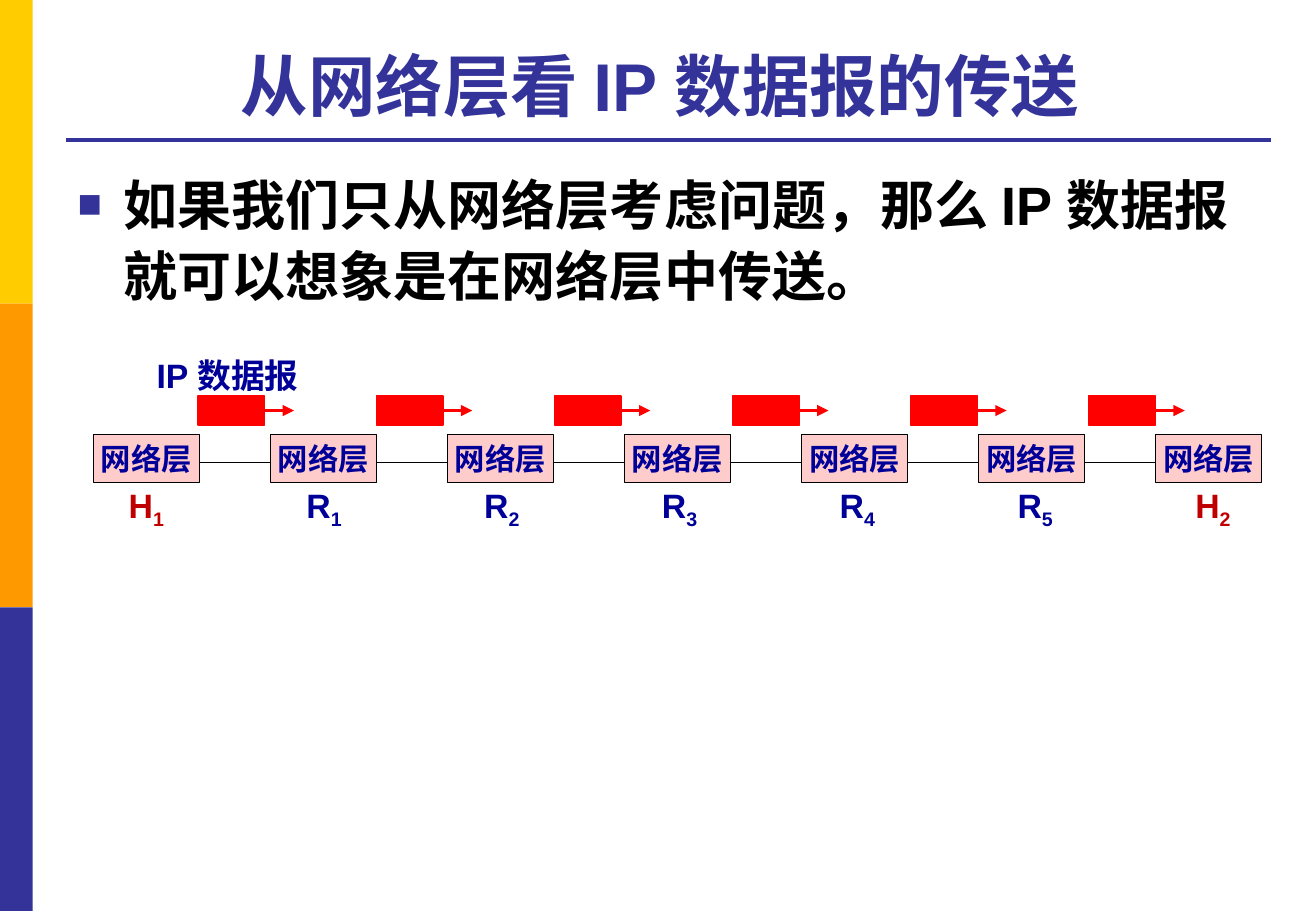
from pptx import Presentation
from pptx import util as u
from pptx.dml.color import RGBColor
from pptx.enum import lang, shapes, text
from pptx.oxml import ns
from lxml import etree

INDIGO = RGBColor(0x33, 0x33, 0x99)
YELLOW = RGBColor(0xFF, 0xCC, 0x00)
ORANGE = RGBColor(0xFF, 0x99, 0x00)
BLACK = RGBColor(0x00, 0x00, 0x00)
NAVY = RGBColor(0x00, 0x00, 0x99)
PINK = RGBColor(0xFF, 0xCC, 0xCC)
RED = RGBColor(0xFF, 0x00, 0x00)
DARK_RED = RGBColor(0xC0, 0x00, 0x00)

FONT = "Arial"
STATIONS = ["H1", "R1", "R2", "R3", "R4", "R5", "H2"]
# Steps from one station to the next, in grid cells
NODE_STEP, NAME_STEP, PACKET_STEP = 14.57, 14.63, 14.66


def grid(cells):
    """Length of a number of grid columns or rows, ten to the inch."""
    return u.Inches(cells / 10)


def write(box, words, size, color, subscript="", align=text.PP_ALIGN.LEFT,
          anchor=text.MSO_ANCHOR.TOP, wrap=True):
    frame = box.text_frame
    frame.word_wrap = wrap
    frame.vertical_anchor = anchor
    para = frame.paragraphs[0]
    para.alignment = align
    for part in filter(None, (words, subscript)):
        span = para.add_run()
        span.text = part
        span.font.name = FONT
        span.font.size = u.Pt(size)
        span.font.bold = True
        span.font.color.rgb = color
        span.font.language_id = lang.MSO_LANGUAGE_ID.SIMPLIFIED_CHINESE
        if part is subscript:
            span._r.get_or_add_rPr().set("baseline", "-25000")
    return para


def add_text(page, left, top, width, height, words, size, color, **style):
    box = page.shapes.add_textbox(*map(grid, (left, top, width, height)))
    return write(box, words, size, color, **style)


def add_box(page, left, top, width, height, fill, outline=None):
    box = page.shapes.add_shape(shapes.MSO_SHAPE.RECTANGLE,
                                *map(grid, (left, top, width, height)))
    box.shadow.inherit = False
    box.fill.solid()
    box.fill.fore_color.rgb = fill
    if outline is None:
        box.line.fill.background()
    else:
        box.line.color.rgb = outline
        box.line.width = u.Pt(0.75)
    return box


def add_line(page, left, right, level, color, weight, arrow=False):
    line = page.shapes.add_connector(shapes.MSO_CONNECTOR.STRAIGHT,
                                     grid(left), grid(level), grid(right), grid(level))
    line.line.color.rgb = color
    line.line.width = u.Pt(weight)
    if arrow:
        etree.SubElement(line.line._get_or_add_ln(), ns.qn("a:tailEnd"), type="triangle")
    etree.SubElement(line._element.spPr, ns.qn("a:effectLst"))
    return line


def add_bullet(para):
    para.line_spacing = 1.1
    para.space_before = u.Pt(6)
    props = para._p.get_or_add_pPr()
    props.set("marL", str(grid(3.8)))
    props.set("indent", str(-grid(3.8)))
    color = etree.SubElement(props, ns.qn("a:buClr"))
    etree.SubElement(color, ns.qn("a:srgbClr"), val=str(INDIGO))
    etree.SubElement(props, ns.qn("a:buSzPct"), val="75000")
    etree.SubElement(props, ns.qn("a:buFont"), typeface=FONT)
    etree.SubElement(props, ns.qn("a:buChar"), char="■")


def add_station(page, index, name):
    node = add_box(page, 7.7 + index * NODE_STEP, 35.8, 8.7, 3.9, PINK, BLACK)
    node.text_frame.margin_left = node.text_frame.margin_right = 0
    write(node, "网络层", 18, NAVY, align=text.PP_ALIGN.CENTER,
          anchor=text.MSO_ANCHOR.MIDDLE, wrap=False)
    add_text(page, 9.6 + index * NAME_STEP, 39.4, 5.1, 4.4, name[0], 20,
             DARK_RED if name[0] == "H" else NAVY, subscript=name[1], wrap=False)


def add_packet(page, index):
    left = 16.3 + index * PACKET_STEP
    packet = add_box(page, left, 32.6, 5.5, 2.4, RED, RED)
    arrow = add_line(page, left + 5.5, left + 7.9, 33.8, RED, 2.25, arrow=True)
    arrow.begin_connect(packet, 3)


def main():
    deck = Presentation()
    deck.slide_width, deck.slide_height = grid(108.3), grid(75)
    page = deck.slides.add_slide(deck.slide_layouts[6])

    # Side stripe and title rule
    for index, color in enumerate((YELLOW, ORANGE, INDIGO)):
        add_box(page, 0, index * 25, 2.7, 25, color)
    add_line(page, 5.4, 104.6, 11.5, INDIGO, 2.25)

    # Title and statement
    add_text(page, 5.4, 2.1, 99.1, 8.7, "从网络层看 IP 数据报的传送 ", 40, INDIGO,
             align=text.PP_ALIGN.CENTER, anchor=text.MSO_ANCHOR.BOTTOM)
    add_bullet(add_text(page, 5.4, 13.1, 99.1, 54,
                        "如果我们只从网络层考虑问题，那么 IP 数据报就可以想象是在网络层中传送。",
                        32, BLACK))

    # Chain of stations on one link
    add_line(page, 14, 98.2, 38.1, BLACK, 0.75)
    for index, name in enumerate(STATIONS):
        add_station(page, index, name)

    # Datagrams between the stations
    add_text(page, 11.9, 28.7, 13.9, 4.4, "IP 数据报", 20, NAVY)
    for index in range(len(STATIONS) - 1):
        add_packet(page, index)

    deck.save("out.pptx")


if __name__ == "__main__":
    main()
